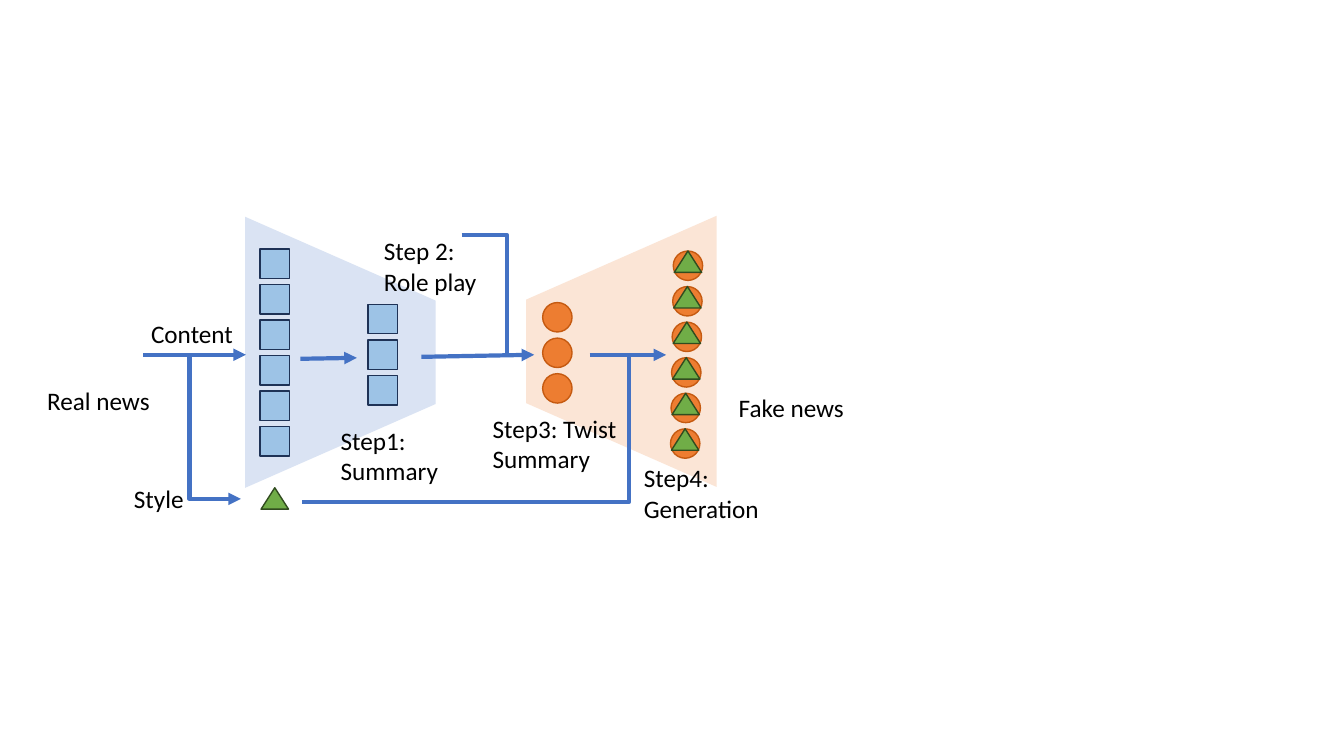
from lxml import etree
from pptx import Presentation, util as u
from pptx.dml.color import RGBColor
from pptx.enum import shapes, text
from pptx.oxml.ns import qn

Pt = u.Pt
MS = shapes.MSO_SHAPE
MC = shapes.MSO_CONNECTOR
SQUARE = ("9DC3E6", "1E3256")
CIRCLE = ("ED7D31", "C55A11")
TRIANGLE = ("70AD47", "314C1F")
NODE = 21
PITCH = 25.4


def rgb(value):
    return RGBColor.from_string(value)


def add_shape(s, kind, x, y, w, h, fill, line=None):
    sp = s.shapes.add_shape(kind, Pt(x), Pt(y), Pt(w), Pt(h))
    sp.shadow.inherit = False
    sp.fill.solid()
    sp.fill.fore_color.rgb = rgb(fill)
    if line:
        sp.line.color.rgb = rgb(line)
        sp.line.width = Pt(1)
    else:
        sp.line.fill.background()
    return sp


def add_label(s, x, y, w, *lines):
    sp = s.shapes.add_textbox(Pt(x), Pt(y), Pt(w), Pt(7 + 22 * len(lines)))
    tf = sp.text_frame
    tf.word_wrap = False
    tf.auto_size = text.MSO_AUTO_SIZE.SHAPE_TO_FIT_TEXT
    for i, line in enumerate(lines):
        p = tf.add_paragraph() if i else tf.paragraphs[0]
        r = p.add_run()
        r.text = line
        for name, value in {"name": "Calibri", "size": Pt(18)}.items():
            setattr(r.font, name, value)
        r.font.color.rgb = rgb("000000")


def add_link(s, x1, y1, x2, y2, kind=MC.STRAIGHT, arrow=None):
    c = s.shapes.add_connector(kind, Pt(x1), Pt(y1), Pt(x2), Pt(y2))
    c.line.color.rgb = rgb("4472C4")
    c.line.width = Pt(3)
    spPr = c._element.spPr
    etree.SubElement(spPr, qn("a:effectLst"))
    if kind == MC.ELBOW:
        guides = spPr.find(qn("a:prstGeom")).find(qn("a:avLst"))
        etree.SubElement(guides, qn("a:gd"), name="adj1", fmla="val 100000")
    if arrow:
        etree.SubElement(spPr.find(qn("a:ln")), qn(f"a:{arrow}"), type="triangle")


def add_trapezoid(s, x, y, w, h, rotation, fill):
    sp = add_shape(s, MS.TRAPEZOID, x + (w - h) / 2, y + (h - w) / 2, h, w, fill)
    sp.rotation = rotation
    sp.adjustments[0] = 0.44


def add_triangle(s, x, y):
    add_shape(s, MS.ISOSCELES_TRIANGLE, x, y, 19.6, 15.3, *TRIANGLE)


def add_column(s, kind, x, y, count, colors):
    for i in range(count):
        add_shape(s, kind, x, y + i * PITCH, NODE, NODE, *colors)


def draw_encoder(s, x, y, w, h):
    add_trapezoid(s, x, y, w, h, 90, "DAE3F3")
    add_column(s, MS.RECTANGLE, x + 10.8, y + 23, 6, SQUARE)
    add_column(s, MS.RECTANGLE, x + 87.8, y + 62.6, 3, SQUARE)
    add_link(s, x + 39.6, y + 101.5, x + 79.9, y + 100.8, arrow="tailEnd")
    add_label(s, x + 61.2, y + 145.4, 85, "Step1:", "Summary")
    add_label(s, x + 92.2, y + 10, 81.4, "Step 2:", "Role play")


def draw_decoder(s, x, y, w, h):
    add_trapezoid(s, x, y, w, h, 270, "FBE5D6")
    add_column(s, MS.OVAL, x + 11.8, y + 62, 3, CIRCLE)
    for i in range(6):
        left, top = x + 105.1 - 0.4 * i, y + 25.2 + i * PITCH
        add_shape(s, MS.OVAL, left, top, NODE, NODE, *CIRCLE)
        add_triangle(s, left + 0.7, top)
    add_link(s, x + 45.4, y + 99.4, x + 100.1, y + 99.4, arrow="tailEnd")
    add_label(s, x - 31, y + 137.5, 103.7, "Step3: Twist", "Summary")
    add_label(s, x + 77, y + 172.8, 97.9, "Step4:", "Generation")
    add_label(s, x + w + 8.7, y + 122.4, 90.7, "Fake news")


def draw_input(s, x, y, w, h):
    add_label(s, x, y + 47.5, 88.6, "Real news")
    add_label(s, x + 74.2, y, 73.4, "Content")
    add_label(s, x + 62, y + h - 29, 50.4, "Style")
    add_link(s, x + 75.6, y + 29.5, x + w - 10.8, y + 29.5, arrow="tailEnd")
    add_link(s, x + w - 14.4, y + h - 14.5, x + 108.8, y + 29.5, MC.ELBOW, "headEnd")
    add_triangle(s, x + w, y + h - 22.5)


def draw_bridge(s, x, y, w, h):
    add_link(s, x + 85, y + 86.9, x + 165.6, y + 85.4, arrow="tailEnd")
    add_link(s, x + 113.8, y, x + 146.2, y + 86.2, MC.ELBOW)
    add_link(s, x, y + h, x + w, y + 86.2, MC.ELBOW)


def main():
    prs = Presentation()
    prs.slide_width, prs.slide_height = Pt(960), Pt(540)
    s = prs.slides.add_slide(prs.slide_layouts[6])
    draw_decoder(s, 375.8, 154.1, 136.1, 193.7)
    draw_encoder(s, 175, 154.8, 136.1, 193.7)
    draw_input(s, 26.6, 223.9, 159.9, 147)
    draw_bridge(s, 216, 168, 233.3, 190.6)
    prs.save("out.pptx")


if __name__ == "__main__":
    main()
